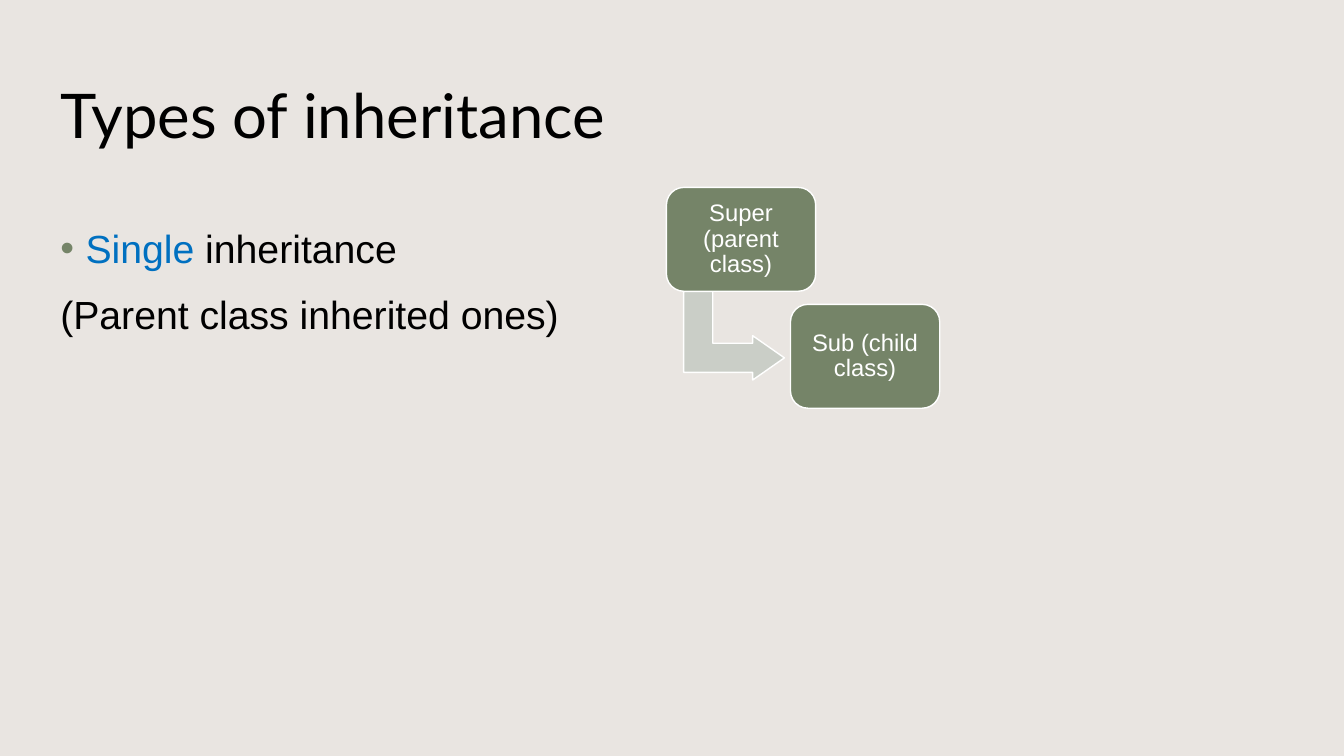
from lxml.etree import SubElement
from pptx import Presentation
from pptx.dml.color import RGBColor
from pptx.enum.shapes import MSO_SHAPE
from pptx.enum.text import MSO_ANCHOR, PP_ALIGN
from pptx.oxml.ns import qn
from pptx.util import Inches, Pt

TITLE = "Types of inheritance"
BODY = [
    [("Single", "accent"), (" inheritance", "text")],
    [("(Parent class inherited ones)", "text")],
]
CLASSES = ["Super (parent class)", "Sub (child class)"]
COLOURS = {
    "background": "E9E5E1",
    "text": "000000",
    "accent": "0070C0",
    "class": "758468",
    "arrow": "CACEC7",
    "white": "FFFFFF",
}
CLASS_LEFT, CLASS_TOP = 6.61, 1.86
CLASS_WIDTH, CLASS_HEIGHT = 1.48, 1.03
STEP_X, STEP_Y = 1.23, 1.16


def colour(key):
    """Return the named colour."""
    return RGBColor.from_string(COLOURS[key])


def set_font(font, face, size, key):
    """Apply typeface, size and colour to a font."""
    font.name, font.size = face, Pt(size)
    font.color.rgb = colour(key)


def add_text(slide, left, top, width, height, anchor):
    """Add a wrapping text box and return its frame."""
    frame = slide.shapes.add_textbox(
        Inches(left), Inches(top), Inches(width), Inches(height)
    ).text_frame
    frame.word_wrap = True
    frame.vertical_anchor = anchor
    return frame


def add_bullet(paragraph):
    """Give a paragraph a green hanging bullet."""
    properties = paragraph._p.get_or_add_pPr()
    properties.set("marL", str(Inches(0.25)))
    properties.set("indent", str(Inches(-0.25)))
    bullet_colour = SubElement(properties, qn("a:buClr"))
    SubElement(bullet_colour, qn("a:srgbClr"), val=COLOURS["class"])
    SubElement(properties, qn("a:buFont"), typeface="Arial")
    SubElement(properties, qn("a:buChar"), char="•")


def add_outlined(slide, preset, left, top, width, height, fill):
    """Add a filled preset shape with a thin white outline."""
    outlined = slide.shapes.add_shape(
        preset, Inches(left), Inches(top), Inches(width), Inches(height)
    )
    outlined.shadow.inherit = False
    outlined.fill.solid()
    outlined.fill.fore_color.rgb = colour(fill)
    outlined.line.color.rgb = colour("white")
    outlined.line.width = Pt(1)
    return outlined


def add_class(slide, index, label):
    """Add one class box on the descending staircase."""
    box = add_outlined(
        slide, MSO_SHAPE.ROUNDED_RECTANGLE,
        CLASS_LEFT + index * STEP_X, CLASS_TOP + index * STEP_Y,
        CLASS_WIDTH, CLASS_HEIGHT, "class",
    )
    box.adjustments[0] = 0.167
    frame = box.text_frame
    frame.word_wrap = True
    frame.vertical_anchor = MSO_ANCHOR.MIDDLE
    frame.margin_left = frame.margin_right = Inches(0.07)
    frame.margin_top = frame.margin_bottom = Inches(0.07)
    paragraph = frame.paragraphs[0]
    paragraph.text = label
    paragraph.alignment = PP_ALIGN.CENTER
    paragraph.line_spacing = 0.9
    set_font(paragraph.font, "Arial", 17, "white")


def main():
    """Build the inheritance slide."""
    deck = Presentation()
    deck.slide_width, deck.slide_height = Inches(13.33), Inches(7.5)
    slide = deck.slides.add_slide(deck.slide_layouts[6])
    slide.background.fill.solid()
    slide.background.fill.fore_color.rgb = colour("background")

    title = add_text(slide, 0.5, 0.4, 11.92, 1.45, MSO_ANCHOR.MIDDLE).paragraphs[0]
    title.text = TITLE
    set_font(title.font, "Lato", 44, "text")

    body = add_text(slide, 0.5, 2.13, 12.33, 4.59, MSO_ANCHOR.TOP)
    for index, pieces in enumerate(BODY):
        paragraph = body.add_paragraph() if index else body.paragraphs[0]
        paragraph.line_spacing = 1.1
        paragraph.space_before = Pt(10)
        for words, key in pieces:
            run = paragraph.add_run()
            run.text = words
            set_font(run.font, "Arial", 28, key)
    add_bullet(body.paragraphs[0])

    arrow = add_outlined(slide, MSO_SHAPE.BENT_UP_ARROW, 6.84, 2.83, 0.88, 1, "arrow")
    arrow.rotation = 90
    for index, ratio in enumerate((0.328, 0.25, 0.358)):
        arrow.adjustments[index] = ratio
    for index, label in enumerate(CLASSES):
        add_class(slide, index, label)

    deck.save("out.pptx")


if __name__ == "__main__":
    main()
